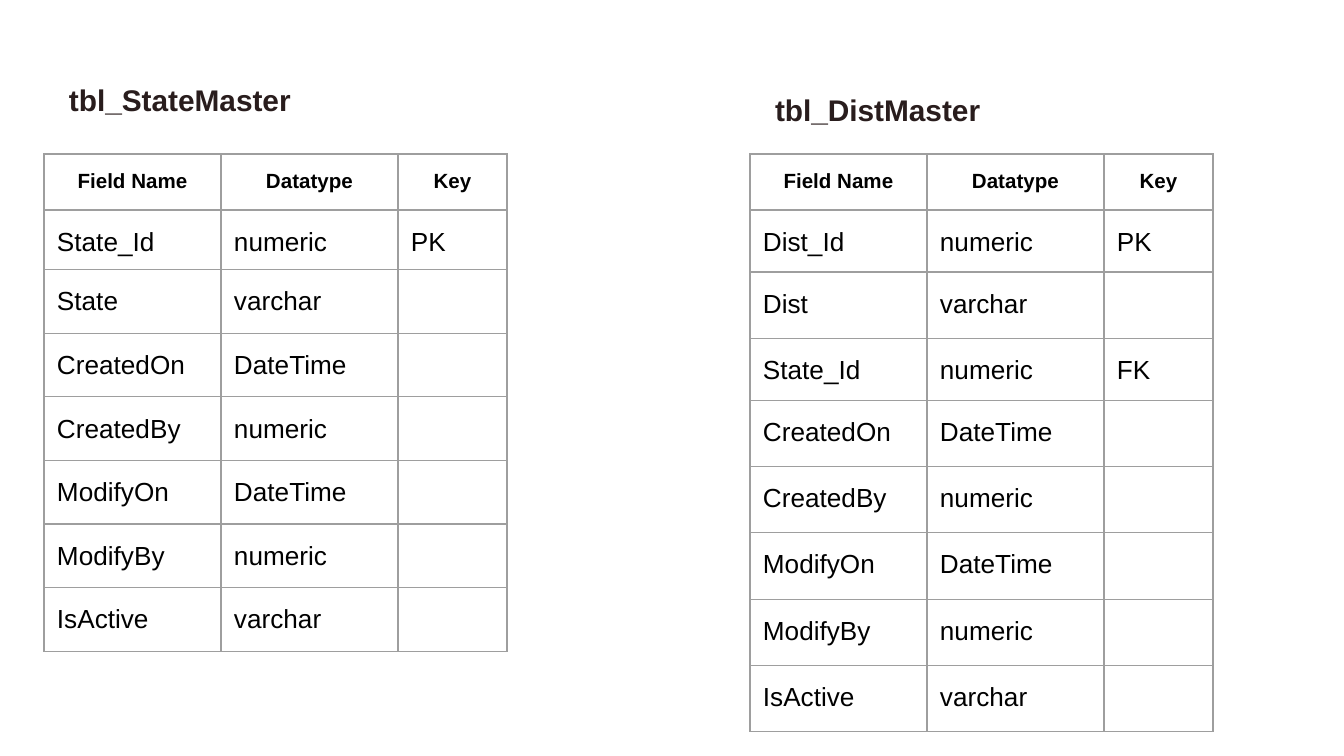
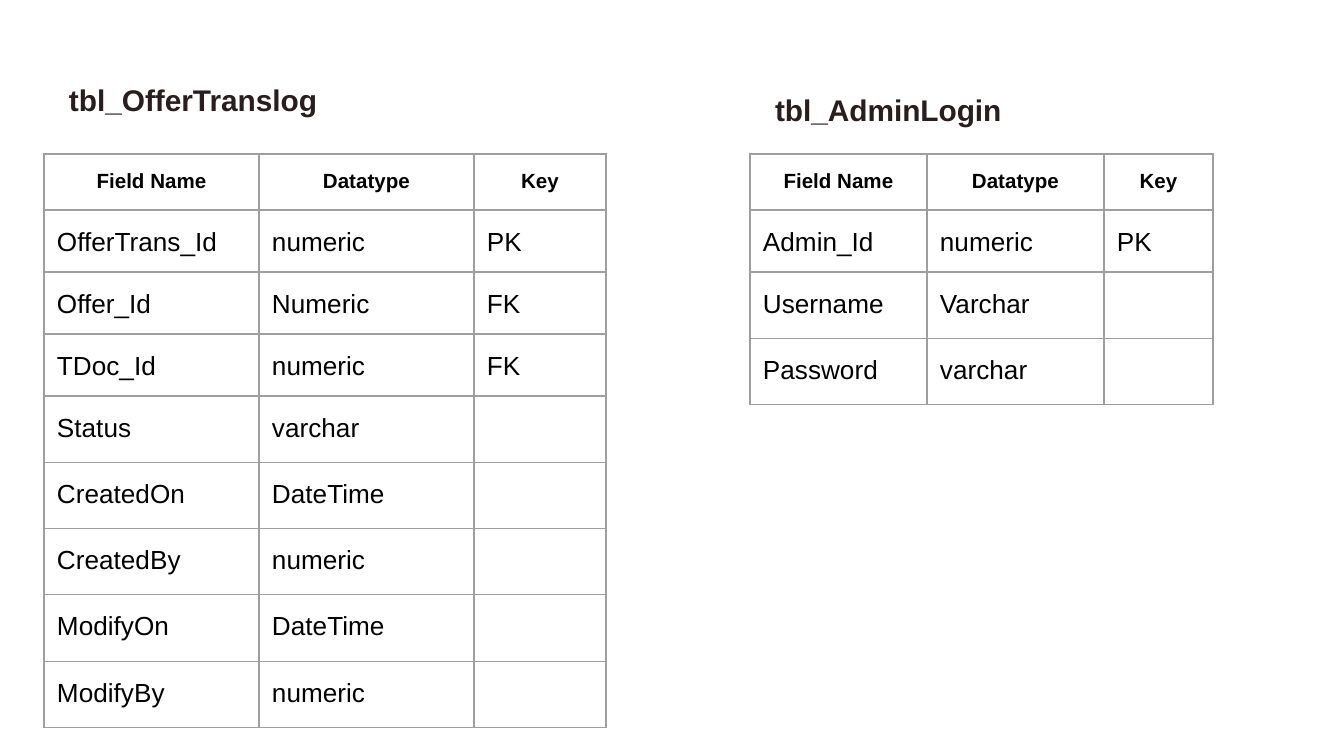
from lxml import etree
from pptx import Presentation
from pptx.dml.color import RGBColor
from pptx.enum.text import MSO_ANCHOR, PP_ALIGN
from pptx.oxml.ns import qn
from pptx.util import Pt

SCALE = 914400 / 134.4
FONT = "Arial"
COLORS = {"title": "291D1D", "text": "000000", "line": "9E9E9E"}
TOP, CENTER = MSO_ANCHOR.TOP, PP_ALIGN.CENTER
PAD = 13
HEAD = ("Field Name", "Datatype", "Key")
HEAD_H = 56
NARROW, WIDE = (177, 177, 109), (215, 215, 132)
LEFT, RIGHT = (44, 154), (750, 154)
AUDIT = [("CreatedOn", "DateTime"), ("CreatedBy", "numeric"),
         ("ModifyOn", "DateTime"), ("ModifyBy", "numeric")]
ACTIVE = ("IsActive", "varchar")

# Each entry: corner, title rise above the table, name, columns, row height, fields
SLIDES = [
    [(LEFT, 85, "tbl_StateMaster", NARROW, 56,
      [("State_Id", "numeric", "PK"), ("State", "varchar"), *AUDIT, ACTIVE]),
     (RIGHT, 75, "tbl_DistMaster", NARROW, 56,
      [("Dist_Id", "numeric", "PK"), ("Dist", "varchar"),
       ("State_Id", "numeric", "FK"), *AUDIT, ACTIVE])],
    [(LEFT, 85, "tbl_OfferTranslog", WIDE, 58,
      [("OfferTrans_Id", "numeric", "PK"), ("Offer_Id", "Numeric", "FK"),
       ("TDoc_Id", "numeric", "FK"), ("Status", "varchar"), *AUDIT]),
     (RIGHT, 75, "tbl_AdminLogin", NARROW, 56,
      [("Admin_Id", "numeric", "PK"), ("Username", "Varchar"),
       ("Password", "varchar")])],
]


def px(n):
    return round(n * SCALE)


def add_run(para, text, size, color, bold):
    run = para.add_run()
    run.text = text
    font = run.font
    font.name, font.size, font.bold = FONT, Pt(size), bold
    font.color.rgb = RGBColor.from_string(COLORS[color])


def set_pad(item):
    """Give a cell or a text frame the same inset on all sides."""
    item.margin_left = item.margin_right = px(PAD)
    item.margin_top = item.margin_bottom = px(PAD)


def add_title(slide, x, y, name):
    frame = slide.shapes.add_textbox(px(x), px(y), px(419), px(44)).text_frame
    frame.word_wrap = True
    frame.vertical_anchor = TOP
    set_pad(frame)
    add_run(frame.paragraphs[0], name, 16, "title", True)


def set_lines(cell):
    props = cell._tc.get_or_add_tcPr()
    for i, side in enumerate(("lnL", "lnR", "lnT", "lnB")):
        line = etree.Element(qn("a:" + side), w=str(Pt(0.75)))
        fill = etree.SubElement(line, qn("a:solidFill"))
        etree.SubElement(fill, qn("a:srgbClr"), val=COLORS["line"])
        props.insert(i, line)


def fill_cell(cell, text, head):
    set_pad(cell)
    cell.vertical_anchor = TOP
    cell.fill.background()
    set_lines(cell)
    para = cell.text_frame.paragraphs[0]
    if not text:
        # An empty cell keeps the height of an 18 pt line
        end = etree.SubElement(para._p, qn("a:endParaRPr"), sz="1800")
        etree.SubElement(end, qn("a:latin"), typeface=FONT)
        return
    para.line_spacing = 1.15
    if head:
        para.alignment = CENTER
    add_run(para, text, 11 if head else 14, "text", head)


def add_grid(slide, x, y, cols, row_h, fields):
    rows = [HEAD, *fields]
    high = HEAD_H + row_h * len(fields)
    table = slide.shapes.add_table(len(rows), len(cols), px(x), px(y),
                                   px(sum(cols)), px(high)).table
    table.first_row = table.horz_banding = False
    for col, wide in zip(table.columns, cols):
        col.width = px(wide)
    for r, row in enumerate(rows):
        table.rows[r].height = px(row_h if r else HEAD_H)
        for c in range(len(cols)):
            fill_cell(table.cell(r, c), row[c] if c < len(row) else "", r == 0)


def add_schema(slide, box, rise, name, cols, row_h, fields):
    x, y = box
    add_grid(slide, x, y, cols, row_h, fields)
    add_title(slide, x + 12, y - rise, name)


def main():
    deck = Presentation()
    deck.slide_width, deck.slide_height = px(1344), px(756)
    for parts in SLIDES:
        slide = deck.slides.add_slide(deck.slide_layouts[6])
        for part in parts:
            add_schema(slide, *part)
    deck.save("out.pptx")


if __name__ == "__main__":
    main()
